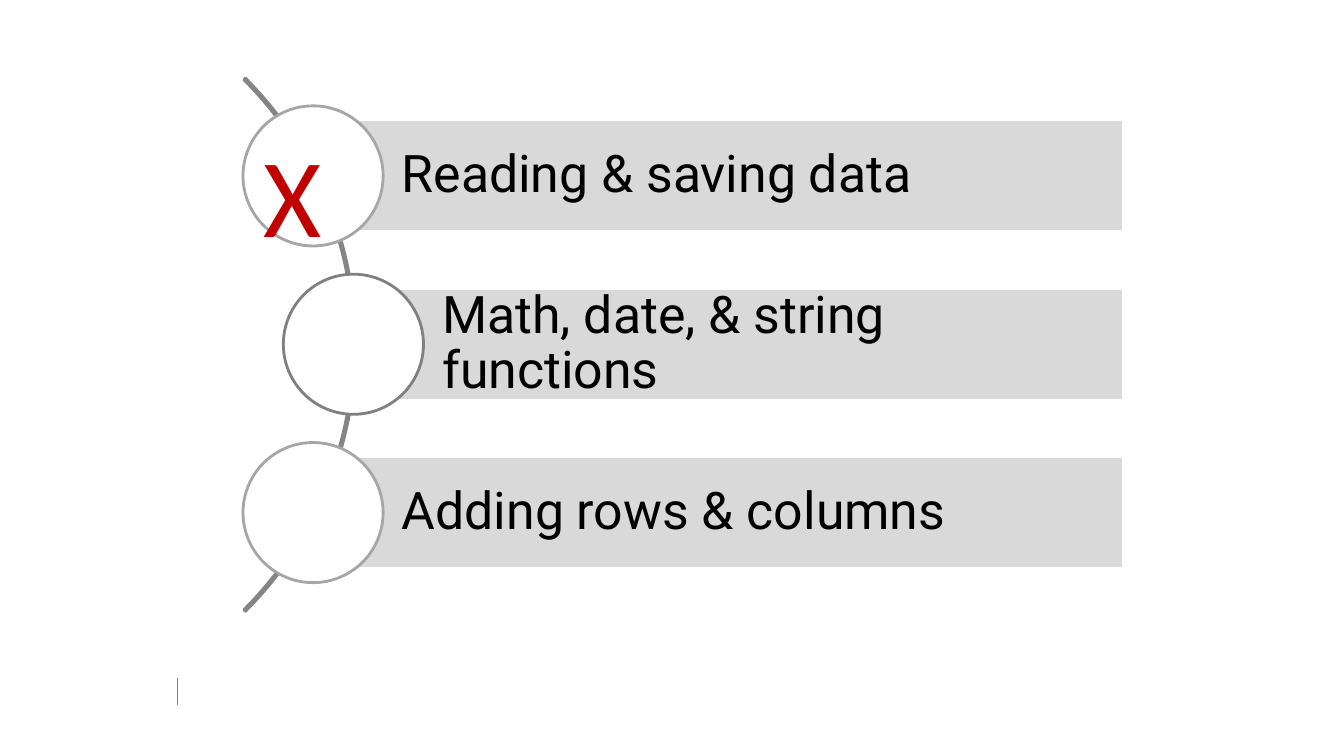
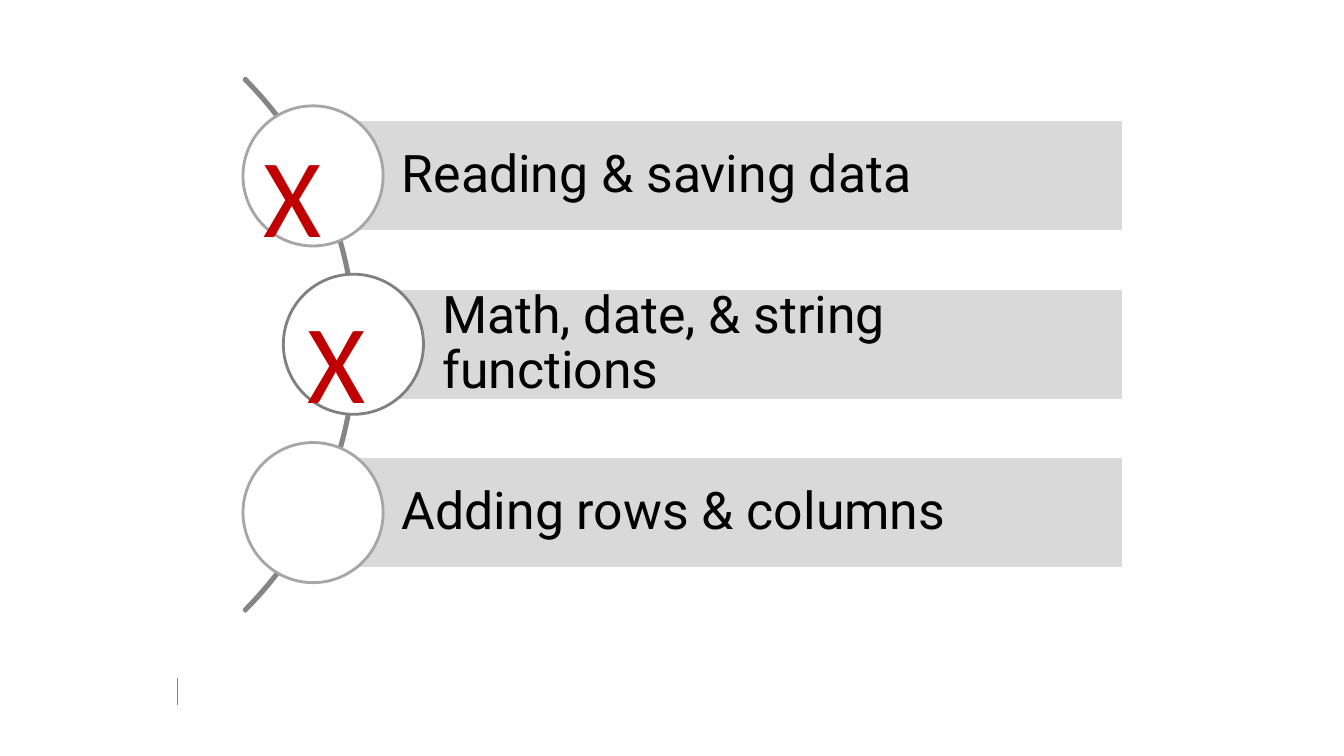
from lxml.etree import SubElement
from pptx import Presentation
from pptx.dml.color import RGBColor
from pptx.enum.shapes import MSO_CONNECTOR, MSO_SHAPE
from pptx.enum.text import MSO_ANCHOR, PP_ALIGN
from pptx.oxml.ns import qn
from pptx.util import Inches, Pt

WHITE = RGBColor(0xFF, 0xFF, 0xFF)
BLACK = RGBColor(0x00, 0x00, 0x00)
BAR_GREY = RGBColor(0xD9, 0xD9, 0xD9)
ARC_GREY = RGBColor(0x85, 0x85, 0x85)
LIGHT_RING = RGBColor(0xA6, 0xA6, 0xA6)
DARK_GREY = RGBColor(0x80, 0x80, 0x80)
MARK_RED = RGBColor(0xC0, 0x00, 0x00)

BAR_RIGHT = 11.14
BAR_HEIGHT = 1.11
FIRST_BAR_TOP = 1.19
BAR_PITCH = 1.67
CIRCLE_SIZE = 1.39

# Topic, left edge of its circle, ring colour
TOPICS = [
    ("Reading & saving data", 2.41, LIGHT_RING),
    ("Math, date, & string functions", 2.81, DARK_GREY),
    ("Adding rows & columns", 2.41, LIGHT_RING),
]
MARK_POSITIONS = [(2.52, 1.2), (2.95, 2.84)]


def add_outlined(page, preset, left, top, width, height, line_color, fill=None):
    shape = page.shapes.add_shape(
        preset, Inches(left), Inches(top), Inches(width), Inches(height))
    shape.shadow.inherit = False
    if fill is None:
        shape.fill.background()
    else:
        shape.fill.solid()
        shape.fill.fore_color.rgb = fill
    shape.line.color.rgb = line_color
    shape.line.width = Pt(2)
    return shape


def style_paragraph(para, font_name, size, color):
    para.alignment = PP_ALIGN.LEFT
    para.font.name = font_name
    para.font.size = Pt(size)
    para.font.color.rgb = color


def add_footer_line(page):
    line = page.shapes.add_connector(
        MSO_CONNECTOR.STRAIGHT,
        Inches(1.76), Inches(6.73), Inches(1.76), Inches(6.99))
    line.line.color.rgb = DARK_GREY
    line.line.width = Pt(0.25)
    SubElement(line._element.spPr, qn("a:effectLst"))


def add_arc(page):
    arc = add_outlined(
        page, MSO_SHAPE.BLOCK_ARC, -3.95, -0.32, 7.48, 7.48, ARC_GREY)
    for index, value in enumerate((189, 27, 0.003)):
        arc.adjustments[index] = value


def add_topic(page, row, text, circle_left, ring_color):
    """Add a bar that starts at the centre of its circle."""
    bar_left = circle_left + CIRCLE_SIZE / 2
    bar_top = FIRST_BAR_TOP + row * BAR_PITCH
    bar = add_outlined(page, MSO_SHAPE.RECTANGLE, bar_left, bar_top,
                       BAR_RIGHT - bar_left, BAR_HEIGHT, WHITE, BAR_GREY)
    frame = bar.text_frame
    frame.word_wrap = True
    frame.vertical_anchor = MSO_ANCHOR.MIDDLE
    frame.margin_left = Inches(0.88)
    frame.margin_right = Inches(0.2)
    frame.margin_top = frame.margin_bottom = Inches(0.1)
    para = frame.paragraphs[0]
    para.text = text
    para.line_spacing = 0.9
    style_paragraph(para, "Roboto", 37, BLACK)

    circle_top = bar_top + (BAR_HEIGHT - CIRCLE_SIZE) / 2
    add_outlined(page, MSO_SHAPE.OVAL, circle_left, circle_top,
                 CIRCLE_SIZE, CIRCLE_SIZE, ring_color, WHITE)


def add_mark(page, left, top):
    box = page.shapes.add_textbox(
        Inches(left), Inches(top), Inches(1), Inches(1.45))
    box.text_frame.word_wrap = True
    para = box.text_frame.paragraphs[0]
    para.text = "X"
    para.space_before = Pt(0.5)
    style_paragraph(para, "Calibri", 80, MARK_RED)


def add_progress_page(deck, done_count):
    page = deck.slides.add_slide(deck.slide_layouts[6])
    add_footer_line(page)
    add_arc(page)
    for row, topic in enumerate(TOPICS):
        add_topic(page, row, *topic)
    for position in MARK_POSITIONS[:done_count]:
        add_mark(page, *position)


def main():
    deck = Presentation()
    deck.slide_width = Inches(13.33)
    deck.slide_height = Inches(7.5)
    for done_count in (1, 2):
        add_progress_page(deck, done_count)
    deck.save("out.pptx")


if __name__ == "__main__":
    main()
